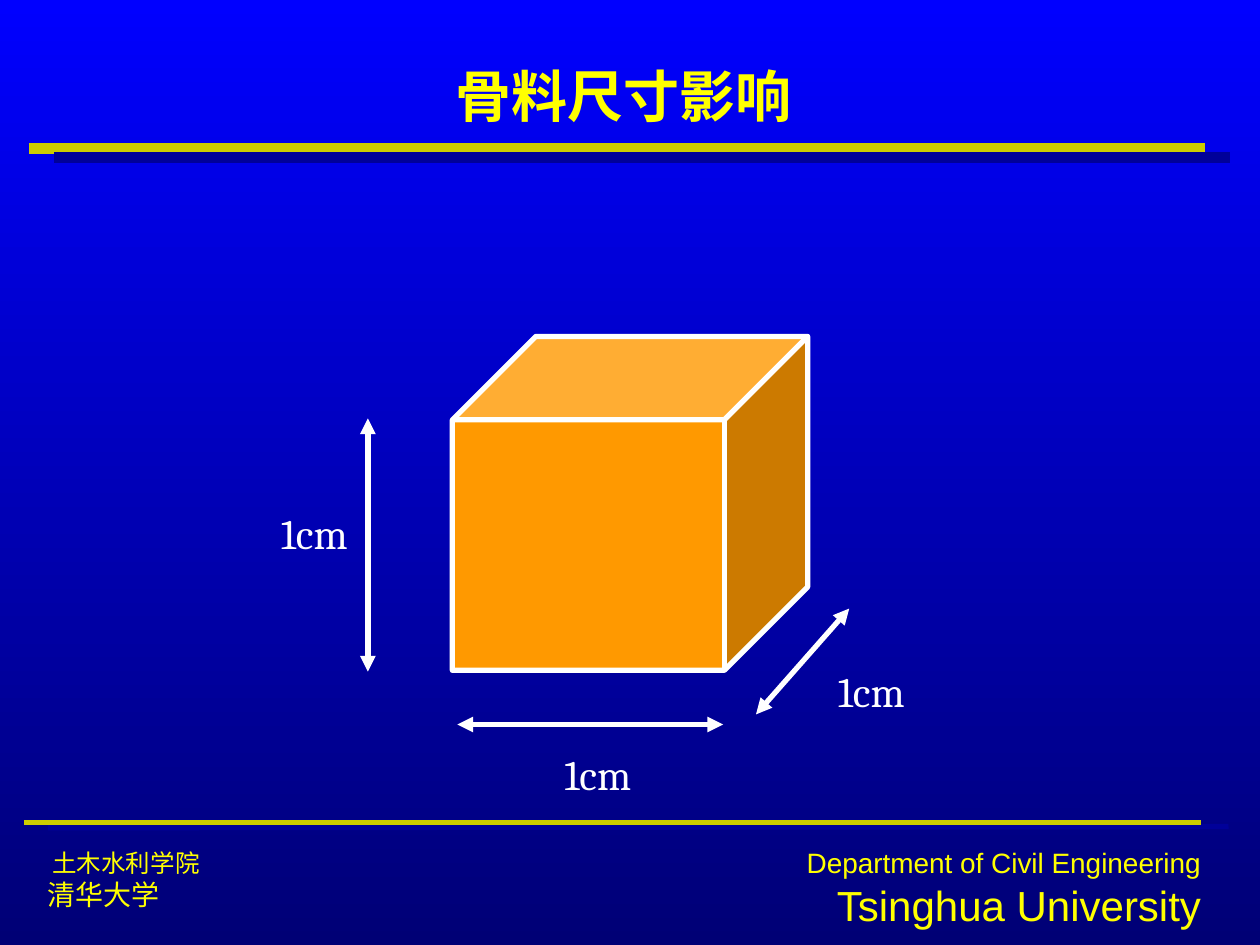
"""Build the slide on the influence of aggregate size."""
from dataclasses import dataclass

from lxml import etree
from pptx import Presentation
from pptx.dml.color import RGBColor
from pptx.enum.shapes import MSO_CONNECTOR, MSO_SHAPE
from pptx.enum.text import MSO_ANCHOR, PP_ALIGN
from pptx.oxml.ns import qn
from pptx.util import Inches, Pt

STRAIGHT = MSO_CONNECTOR.STRAIGHT
CUBE = MSO_SHAPE.CUBE
TOP, MIDDLE, BOTTOM = MSO_ANCHOR.TOP, MSO_ANCHOR.MIDDLE, MSO_ANCHOR.BOTTOM
LEFT, CENTER, RIGHT = PP_ALIGN.LEFT, PP_ALIGN.CENTER, PP_ALIGN.RIGHT
COLUMNS, ROWS = 100, 75
CELL = Inches(0.1)


@dataclass(frozen=True)
class Theme:
    """Colours, fonts, type sizes and line widths of the slide."""
    sky: str = "0000FF"
    deep: str = "000075"
    rule: str = "CCCC00"
    rule_shade: str = "000099"
    heading: str = "FFFF00"
    cube: str = "FF9900"
    ink: str = "FFFFFF"
    sans: str = "Arial"
    serif: str = "Cambria"
    title_size: int = 32
    large_size: int = 24
    medium_size: int = 16
    small_size: int = 14
    space_size: int = 12
    thick: int = 6
    thin: int = 3


@dataclass(frozen=True)
class Box:
    """A region measured in grid columns and rows."""
    left: float
    top: float
    width: float
    height: float

    def inner(self, column, row, width, height):
        """Return a box placed relative to this one."""
        return Box(self.left + column, self.top + row, width, height)

    def point(self, column, row):
        """Return a slide position relative to this box."""
        return cells(self.left + column), cells(self.top + row)

    def frame(self):
        """Return left, top, width and height as slide lengths."""
        return tuple(map(cells, (self.left, self.top, self.width, self.height)))


THEME = Theme()


def cells(count):
    """Turn grid cells into a slide length."""
    return round(count * CELL)


def color(value):
    """Turn a hex string into a colour."""
    return RGBColor.from_string(value)


def add_line(slide, start, end, line_color, width, arrows=False):
    """Draw a straight line, with arrowheads at both ends if asked."""
    connector = slide.shapes.add_connector(STRAIGHT, *start, *end)
    connector.line.color.rgb = color(line_color)
    connector.line.width = Pt(width)
    properties = connector._element.spPr
    if arrows:
        outline = properties.find(qn("a:ln"))
        for end_name in ("a:headEnd", "a:tailEnd"):
            etree.SubElement(outline, qn(end_name), type="triangle")
    etree.SubElement(properties, qn("a:effectLst"))


def add_text(slide, box, paragraphs, font, text_color, alignment,
             anchor=TOP, bold=False, wrap=True):
    """Place paragraphs given as lists of text and size pairs."""
    frame = slide.shapes.add_textbox(*box.frame()).text_frame
    frame.word_wrap = wrap
    frame.vertical_anchor = anchor
    for index, runs in enumerate(paragraphs):
        paragraph = frame.add_paragraph() if index else frame.paragraphs[0]
        paragraph.alignment = alignment
        for text, size in runs:
            run = paragraph.add_run()
            run.text = text
            run.font.name = font
            run.font.size = Pt(size)
            run.font.bold = bold
            run.font.color.rgb = color(text_color)


def paint_background(slide):
    """Fill the slide with a gradient from top to bottom."""
    fill = slide.background.fill
    fill.gradient()
    fill.gradient_angle = 270
    for stop, position, shade in zip(fill.gradient_stops, (0, 1),
                                     (THEME.sky, THEME.deep)):
        stop.position = position
        stop.color.rgb = color(shade)


def add_header(slide, box):
    """Place the title above a shaded rule."""
    add_line(slide, box.point(0, 7.9), box.point(93.3, 7.9), THEME.rule, THEME.thick)
    add_line(slide, box.point(2, 8.6), box.point(95.3, 8.6),
             THEME.rule_shade, THEME.thick)
    add_text(slide, box.inner(5.2, 0, 85, 6.8),
             [[("骨料尺寸影响 ", THEME.title_size)]],
             THEME.sans, THEME.heading, CENTER, BOTTOM, bold=True)


def add_footer(slide, box):
    """Place the school names below a shaded rule."""
    add_line(slide, box.point(1.9, 0.4), box.point(95.6, 0.3),
             THEME.rule_shade, THEME.thin)
    add_line(slide, box.point(0, 0), box.point(93.4, 0), THEME.rule, THEME.thin)
    add_text(slide, box.inner(0.9, 1.5, 39.8, 6),
             [[(" ", THEME.space_size), ("土木水利学院", THEME.small_size)],
              [("清华大学", THEME.medium_size)]],
             THEME.sans, THEME.heading, LEFT, MIDDLE)
    add_text(slide, box.inner(54.6, 1.3, 39.8, 7.7),
             [[("Department of Civil Engineering", THEME.medium_size)],
              [("Tsinghua University", THEME.large_size)]],
             THEME.sans, THEME.heading, RIGHT, MIDDLE)


def add_cube_diagram(slide, box):
    """Draw the cube with an arrow and a label for each dimension."""
    cube = slide.shapes.add_shape(CUBE, *box.inner(15.1, 0, 28.2, 26.5).frame())
    cube.shadow.inherit = False
    cube.adjustments[0] = 0.25
    cube.fill.solid()
    cube.fill.fore_color.rgb = color(THEME.cube)
    cube.line.color.rgb = color(THEME.ink)
    cube.line.width = Pt(THEME.thin)
    dimensions = (
        ((8.4, 6.5), (8.4, 26.6), (0, 13.1)),
        ((15.5, 30.8), (36.6, 30.8), (22.5, 32.2)),
        ((39.2, 30), (46.6, 21.6), (44.2, 25.6)),
    )
    for start, end, label in dimensions:
        add_line(slide, box.point(*start), box.point(*end),
                 THEME.ink, THEME.thin, arrows=True)
        add_text(slide, box.inner(*label, 8.3, 5), [[("1cm", THEME.large_size)]],
                 THEME.serif, THEME.ink, CENTER, wrap=False)


def main():
    """Build and save the presentation."""
    presentation = Presentation()
    presentation.slide_width = cells(COLUMNS)
    presentation.slide_height = cells(ROWS)
    slide = presentation.slides.add_slide(presentation.slide_layouts[6])
    paint_background(slide)
    add_header(slide, Box(2.3, 3.9, 95.3, 8.6))
    add_footer(slide, Box(1.9, 65.3, 95.6, 9))
    add_cube_diagram(slide, Box(20.8, 26.7, 52.5, 37.2))
    presentation.save("out.pptx")


if __name__ == "__main__":
    main()
